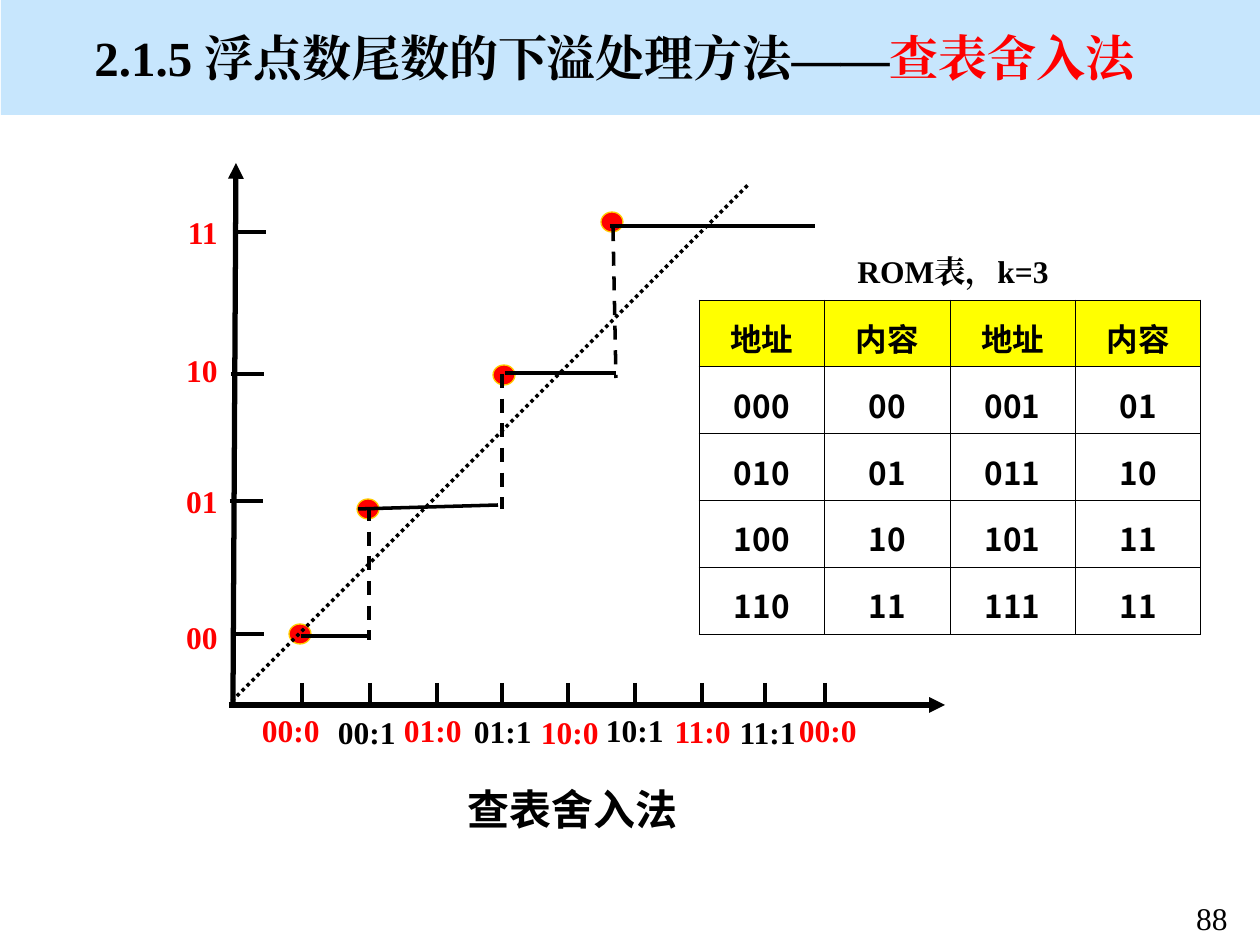
from lxml import etree
from pptx import Presentation
from pptx.dml.color import RGBColor
from pptx.enum.dml import MSO_LINE
from pptx.enum.shapes import MSO_CONNECTOR, MSO_SHAPE
from pptx.enum.text import MSO_ANCHOR, MSO_AUTO_SIZE, PP_ALIGN
from pptx.oxml.ns import qn
from pptx.util import Pt

LEFT, CENTER, RIGHT = PP_ALIGN.LEFT, PP_ALIGN.CENTER, PP_ALIGN.RIGHT
TOP, MIDDLE, BOTTOM = MSO_ANCHOR.TOP, MSO_ANCHOR.MIDDLE, MSO_ANCHOR.BOTTOM
DASH, DOT = MSO_LINE.DASH, MSO_LINE.ROUND_DOT

BLACK = RGBColor(0x00, 0x00, 0x00)
RED = RGBColor(0xFF, 0x00, 0x00)
YELLOW = RGBColor(0xFF, 0xFF, 0x00)
GOLD = RGBColor(0xFF, 0xCC, 0x00)
SKY = RGBColor(0xC7, 0xE6, 0xFD)
SERIF, SANS = "Times New Roman", "Noto Sans CJK SC"

EMU_PER_PX = 914400 / 126

TITLE = [("2.1.5 浮点数尾数的下溢处理方法——", BLACK), ("查表舍入法", RED)]
CAPTION = "查表舍入法"
ROM_TITLE = "ROM表，k=3"
PAGE = "88"

# label, tick x, label left, label top
X_TICKS = [
    ("00:0", 302, 249, 705), ("00:1", 370, 325, 707), ("01:0", 437, 391, 705),
    ("01:1", 502, 461, 706), ("10:0", 568, 528, 707), ("10:1", 635, 593, 705),
    ("11:0", 702, 660, 706), ("11:1", 765, 725, 707), ("00:0", 825, 786, 705),
]
# label, tick y, tick left, label top
Y_TICKS = [("00", 634, 231, 612), ("01", 501, 230, 476),
           ("10", 374, 231, 345), ("11", 232, 233, 207)]
AXES = [(229, 705, 945, 705), (233, 705, 236, 163)]
DIAGONAL = (232, 701, 748, 185)
STEPS = [(301, 636, 368, 636), (358, 509, 498, 505),
         (505, 373, 616, 373), (610, 226, 815, 226)]
RISERS = [(369, 507, 369, 640), (502, 374, 502, 509), (613, 227, 616, 378)]
DOTS = [(289, 624), (357, 499), (493, 365), (601, 212)]
DOT_SIZE = (22, 20)

ROM_HEADER = ("地址", "内容", "地址", "内容")
ROM_ROWS = [("000", "00", "001", "01"), ("010", "01", "011", "10"),
            ("100", "10", "101", "11"), ("110", "11", "111", "11")]
ROM_BOX = (699, 300, 502, 334)


def px(*lengths):
    return [round(length * EMU_PER_PX) for length in lengths]


def format_run(run, size, color, font=SERIF, bold=True):
    run.font.size, run.font.bold, run.font.name = Pt(size), bold, font
    run.font.color.rgb = color
    east_asian = etree.SubElement(run.font._element, qn("a:ea"))
    east_asian.set("typeface", font)


def add_text(slide, box, parts, size, align=LEFT, anchor=TOP, font=SERIF,
             bold=True, wrap=True, spacing=None):
    """Add a one-paragraph text box; parts are (text, colour) pairs."""
    frame = slide.shapes.add_textbox(*px(*box)).text_frame
    frame.word_wrap = wrap
    frame.vertical_anchor = anchor
    if not wrap:
        frame.auto_size = MSO_AUTO_SIZE.SHAPE_TO_FIT_TEXT
    paragraph = frame.paragraphs[0]
    paragraph.alignment = align
    if spacing:
        paragraph.line_spacing = spacing
    for text, color in parts:
        run = paragraph.add_run()
        run.text = text
        format_run(run, size, color, font, bold)


def add_line(slide, ends, width=2, dash=None, arrow=False):
    connector = slide.shapes.add_connector(MSO_CONNECTOR.STRAIGHT, *px(*ends))
    connector.line.color.rgb = BLACK
    connector.line.width = Pt(width)
    if dash:
        connector.line.dash_style = dash
    properties = connector._element.spPr
    if arrow:
        etree.SubElement(properties.find(qn("a:ln")), qn("a:tailEnd")).set("type", "triangle")
    etree.SubElement(properties, qn("a:effectLst"))


def add_filled(slide, kind, box, fill, outline=None):
    shape = slide.shapes.add_shape(kind, *px(*box))
    shape.shadow.inherit = False
    shape.fill.solid()
    shape.fill.fore_color.rgb = fill
    if outline:
        shape.line.color.rgb = outline
        shape.line.width = Pt(0.75)
    else:
        shape.line.fill.background()


def border_cell(cell):
    """Draw thin black borders; they must precede the fill in tcPr."""
    properties = cell._tc.get_or_add_tcPr()
    for index, side in enumerate(("lnL", "lnR", "lnT", "lnB")):
        border = etree.Element(qn(f"a:{side}"), w=str(Pt(0.45)))
        fill = etree.SubElement(border, qn("a:solidFill"))
        etree.SubElement(fill, qn("a:srgbClr")).set("val", str(BLACK))
        properties.insert(index, border)


def add_rom_table(slide):
    rows = [ROM_HEADER] + ROM_ROWS
    table = slide.shapes.add_table(len(rows), len(ROM_HEADER), *px(*ROM_BOX)).table
    for r, row in enumerate(rows):
        for c, text in enumerate(row):
            cell = table.cell(r, c)
            cell.text = text
            cell.vertical_anchor = BOTTOM
            if r == 0:
                cell.fill.solid()
                cell.fill.fore_color.rgb = YELLOW
            else:
                cell.fill.background()
            border_cell(cell)
            paragraph = cell.text_frame.paragraphs[0]
            paragraph.alignment = CENTER
            format_run(paragraph.runs[0], 18, BLACK, SANS)


def add_graph(slide):
    for axis in AXES:
        add_line(slide, axis, width=3, arrow=True)
    for i, (label, x, left, top) in enumerate(X_TICKS):
        add_line(slide, (x, 683, x, 707))
        color = BLACK if i % 2 else RED
        add_text(slide, (left, top, 83, 50), [(label, color)], 18, RIGHT, wrap=False)
    for label, y, left, top in Y_TICKS:
        add_line(slide, (left, y, left + 33, y))
        add_text(slide, (173, top, 57, 50), [(label, RED)], 18, RIGHT, wrap=False)
    for dot in DOTS:
        add_filled(slide, MSO_SHAPE.FLOWCHART_CONNECTOR, dot + DOT_SIZE, RED, GOLD)
    add_line(slide, DIAGONAL, dash=DOT)
    for step in STEPS:
        add_line(slide, step)
    for riser in RISERS:
        add_line(slide, riser, dash=DASH)


def main():
    deck = Presentation()
    deck.slide_width, deck.slide_height = px(1260, 945)
    slide = deck.slides.add_slide(deck.slide_layouts[6])
    add_filled(slide, MSO_SHAPE.RECTANGLE, (1, 0, 1259, 115), SKY)
    add_text(slide, (1168, 893, 88, 42), [(PAGE, BLACK)], 18, CENTER, bold=False)
    add_text(slide, (455, 777, 262, 103), [(CAPTION, BLACK)], 24, font=SANS)
    add_graph(slide)
    add_text(slide, (774, 246, 287, 50), [(ROM_TITLE, BLACK)], 18, RIGHT)
    add_rom_table(slide)
    add_text(slide, (82, 20, 1154, 84), TITLE, 28, anchor=MIDDLE, spacing=0.8)
    deck.save("out.pptx")


if __name__ == "__main__":
    main()
